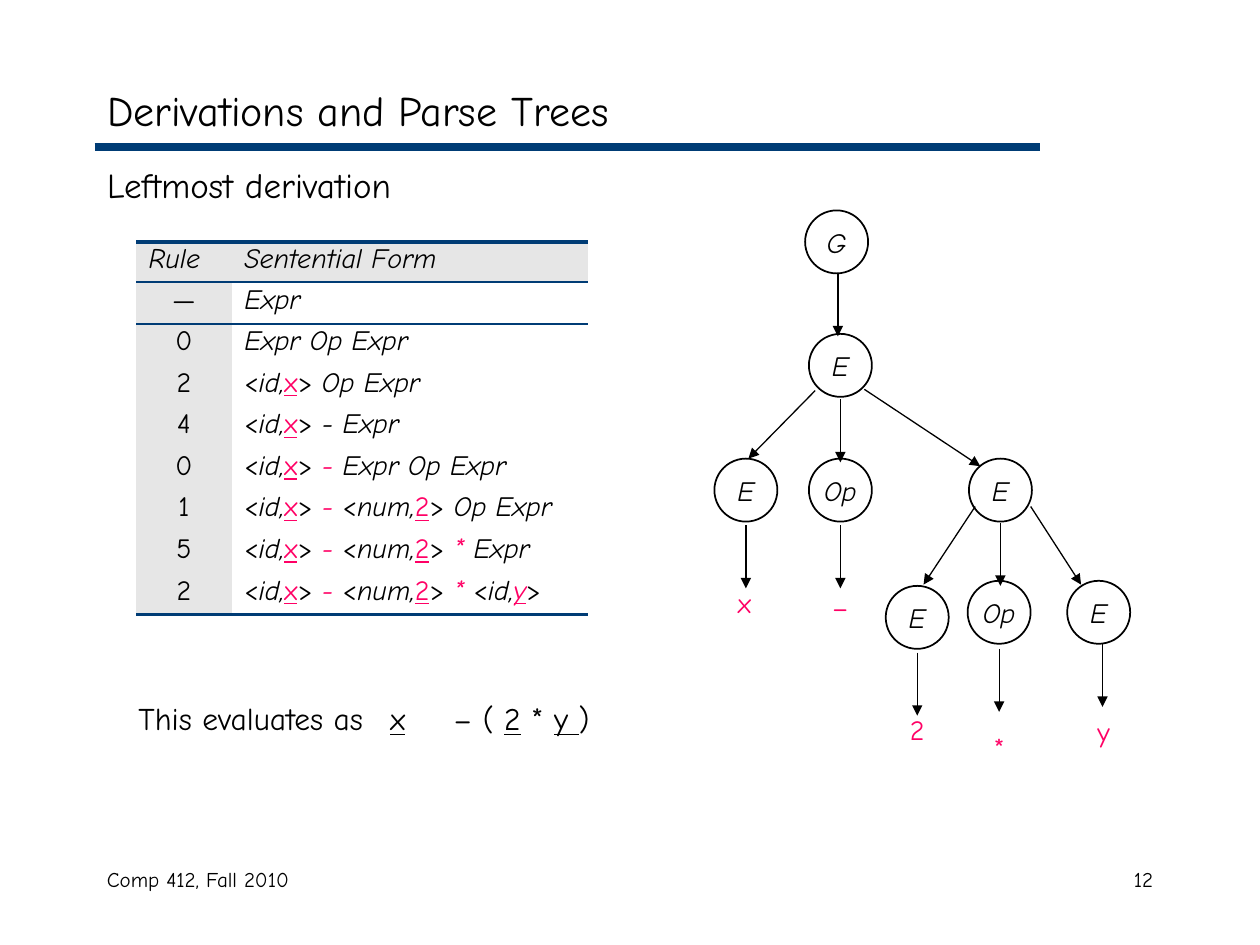
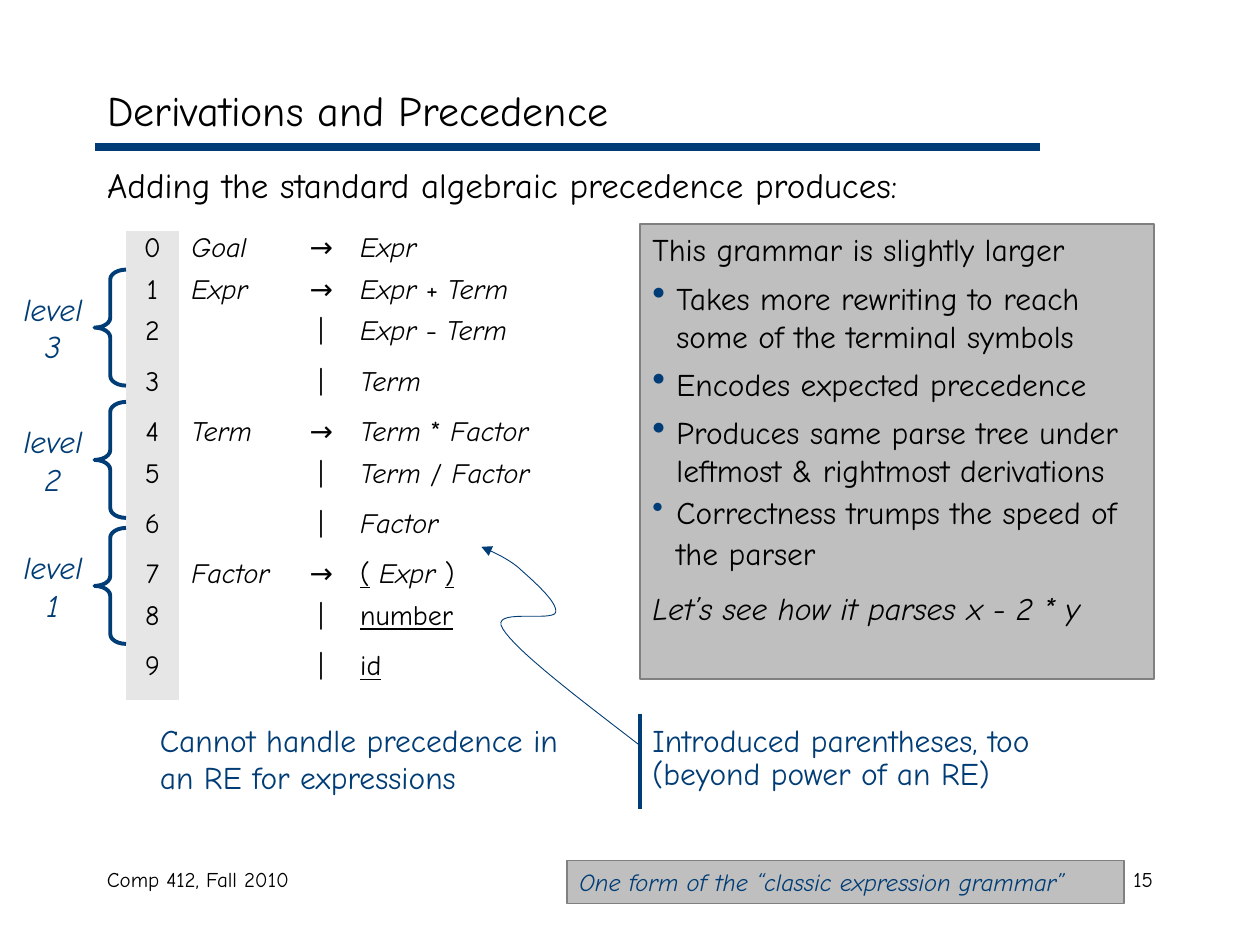
from dataclasses import dataclass
from typing import NamedTuple

from lxml import etree
from pptx import Presentation
from pptx import util as u
from pptx.dml.color import RGBColor
from pptx.enum import shapes, text
from pptx.oxml import ns

SCALE = 9144  # EMU per px, 100 px to the inch
FONT = "Comic Neue"
COLORS = {"black": "000000", "blue": "003C75", "pink": "FF0065",
          "pale": "E6E6E6", "gray": "BFBFBF", "edge": "808080"}
NO_STYLE = "{2D5ABB26-0587-4C30-8999-92F81FD0307C}"
LEFT, CENTER, RIGHT = text.PP_ALIGN.LEFT, text.PP_ALIGN.CENTER, text.PP_ALIGN.RIGHT


class Run(NamedTuple):
    text: str
    italic: bool = False
    underline: bool = False
    color: str = ""


class Box(NamedTuple):
    left: int
    top: int
    width: int
    height: int


@dataclass
class Node:
    label: str
    left: int
    top: int


@dataclass
class Leaf:
    label: str
    center: int
    top: int


@dataclass
class Arrow:
    x1: int
    y1: int
    x2: int
    y2: int


@dataclass
class Level:
    number: int
    top: int


def px(length: float) -> int:
    return u.Emu(round(length * SCALE))


def place(box: Box) -> list[int]:
    return [px(length) for length in box]


def rgb(name: str) -> RGBColor:
    return RGBColor.from_string(COLORS[name])


def add_xml(parent, tag: str, **attributes):
    return etree.SubElement(parent, ns.qn(tag), attributes)


# Text
def write(paragraph, content, *, size=16, color="black", italic=False, align=LEFT,
          before=0, spacing=None, bullet_percent=0, tabs=()) -> None:
    """Format a paragraph and fill it with a string or a list of runs."""
    properties = paragraph._p.get_or_add_pPr()
    indent = px(19) if bullet_percent else 0
    properties.set("marL", str(indent))
    properties.set("indent", str(-indent))
    if bullet_percent:
        bullet_color = add_xml(properties, "a:buClr")
        add_xml(bullet_color, "a:srgbClr", val=COLORS["blue"])
        add_xml(properties, "a:buSzPct", val=str(bullet_percent * 1000))
        add_xml(properties, "a:buChar", char="•")
    else:
        add_xml(properties, "a:buNone")
    if tabs:
        tab_list = add_xml(properties, "a:tabLst")
        for position in tabs:
            add_xml(tab_list, "a:tab", pos=str(px(position)), algn="l")
    paragraph.alignment = align
    paragraph.space_before = u.Pt(before)
    if spacing:
        paragraph.line_spacing = spacing
    for part in [Run(content)] if isinstance(content, str) else content:
        run = paragraph.add_run()
        run.text = part.text
        run.font.name, run.font.size = FONT, u.Pt(size)
        run.font.italic, run.font.underline = italic or part.italic, part.underline
        run.font.color.rgb = rgb(part.color or color)


def write_lines(frame, lines, **common) -> None:
    """Write (content, format) pairs as the paragraphs of a frame."""
    for index, (content, own) in enumerate(lines):
        paragraph = frame.add_paragraph() if index else frame.paragraphs[0]
        write(paragraph, content, **(common | own))


def add_text(slide, box: Box, *lines, **common) -> None:
    frame = slide.shapes.add_textbox(*place(box)).text_frame
    frame.word_wrap = True
    write_lines(frame, lines, **common)


# Shapes and lines
def add_shape(slide, kind, box: Box, line: str, width: float, fill: str = ""):
    shape = slide.shapes.add_shape(kind, *place(box))
    shape.shadow.inherit = False
    if fill:
        shape.fill.solid()
        shape.fill.fore_color.rgb = rgb(fill)
    else:
        shape.fill.background()
    shape.line.color.rgb = rgb(line)
    shape.line.width = u.Pt(width)
    return shape


def add_panel(slide, box: Box, width: float, *lines, **common) -> None:
    panel = add_shape(slide, shapes.MSO_SHAPE.RECTANGLE, box, "edge", width, "gray")
    panel.text_frame.word_wrap = True
    panel.text_frame.vertical_anchor = text.MSO_ANCHOR.TOP
    write_lines(panel.text_frame, lines, **common)


def add_arrowhead(shape) -> None:
    add_xml(shape.line._get_or_add_ln(), "a:tailEnd", type="triangle")


def add_line(slide, path_ends: Arrow, color: str, width: float, head=False) -> None:
    ends = (path_ends.x1, path_ends.y1, path_ends.x2, path_ends.y2)
    connector = slide.shapes.add_connector(
        shapes.MSO_CONNECTOR.STRAIGHT, *[px(end) for end in ends])
    connector.line.color.rgb = rgb(color)
    connector.line.width = u.Pt(width)
    if head:
        add_arrowhead(connector)
    add_xml(connector._element.spPr, "a:effectLst")


def add_curve(slide, points: list[tuple[int, int]], steps: int = 16) -> None:
    """Draw joined cubic curves through every third point."""
    builder = slide.shapes.build_freeform(*[px(value) for value in points[0]])
    vertices = []
    for first in range(0, len(points) - 1, 3):
        controls = points[first:first + 4]
        for step in range(1, steps + 1):
            t = step / steps
            weights = ((1 - t) ** 3, 3 * t * (1 - t) ** 2, 3 * t * t * (1 - t), t ** 3)
            vertices.append(tuple(
                px(sum(weight * point[axis] for weight, point in zip(weights, controls)))
                for axis in (0, 1)))
    builder.add_line_segments(vertices, close=False)
    curve = builder.convert_to_shape()
    curve.shadow.inherit = False
    curve.fill.background()
    curve.line.color.rgb = rgb("blue")
    curve.line.width = u.Pt(0.5)
    add_arrowhead(curve)


# Tables
def add_table(slide, left: int, top: int, columns: list[int], heights: list[int], rows):
    box = Box(left, top, sum(columns), sum(heights))
    table = slide.shapes.add_table(len(rows), len(columns), *place(box)).table
    table.first_row = table.horz_banding = False
    table._tbl.tblPr.find(ns.qn("a:tableStyleId")).text = NO_STYLE
    for column, width in zip(table.columns, columns):
        column.width = px(width)
    for row, height, contents in zip(table.rows, heights, rows):
        row.height = px(height)
        for index, (cell, content) in enumerate(zip(row.cells, contents)):
            centered = content in ("→", "|") or (index == 0 and content != "Rule")
            write(cell.text_frame.paragraphs[0], content, spacing=0.8,
                  italic=content in ("Rule", "Sentential Form"),
                  align=CENTER if centered else LEFT)
    return table


def border(cell, side: str, width: float) -> None:
    line = add_xml(cell._tc.get_or_add_tcPr(), f"a:{side}", w=str(u.Pt(width)))
    add_xml(add_xml(line, "a:solidFill"), "a:srgbClr", val=COLORS["blue"])


def shade(cell, filled: bool) -> None:
    if filled:
        cell.fill.solid()
        cell.fill.fore_color.rgb = rgb("pale")
    else:
        cell.fill.background()


# Shared frame of the slides
def add_slide(presentation, title: str, subtitle: str, number: int):
    slide = presentation.slides.add_slide(presentation.slide_layouts[1])
    add_line(slide, Arrow(75, 117, 825, 117), "blue", 4.5)
    for shape, box, content, size, anchor in (
            (slide.shapes.title, Box(75, 58, 850, 58), title, 24, text.MSO_ANCHOR.MIDDLE),
            (slide.placeholders[1], Box(75, 125, 850, 542), subtitle, 20, text.MSO_ANCHOR.TOP)):
        shape.left, shape.top, shape.width, shape.height = place(box)
        shape.text_frame.auto_size = text.MSO_AUTO_SIZE.NONE
        shape.text_frame.vertical_anchor = anchor
        write(shape.text_frame.paragraphs[0], content, size=size)
    add_text(slide, Box(75, 683, 317, 50), ("Comp 412, Fall 2010", {}), size=12)
    add_text(slide, Box(717, 683, 208, 50), (str(number), {}), size=12, align=RIGHT)
    return slide


def token(kind: str, value: str, italic=False) -> list[Run]:
    return [Run("<"), Run(f"{kind},", True), Run(value, italic, True, "pink"), Run(">")]


def symbol(mark: str) -> list[Run]:
    return [Run(f" {mark} ", True, False, "pink")]


def symbols(words: str) -> list[Run]:
    return [Run(words, True)]


def build_parse_tree(presentation) -> None:
    slide = add_slide(presentation, "Derivations and Parse Trees", "Leftmost derivation", 12)

    # Derivation table
    start = token("id", "x")
    minus = start + symbol("-")
    product = minus + token("num", "2") + symbol("*")
    rows = [
        ("Rule", "Sentential Form"),
        ("—", symbols("Expr")),
        ("0", symbols("Expr Op Expr")),
        ("2", start + symbols(" Op Expr")),
        ("4", start + symbols(" - Expr")),
        ("0", minus + symbols("Expr Op Expr")),
        ("1", minus + token("num", "2") + symbols(" Op Expr")),
        ("5", product + symbols("Expr")),
        ("2", product + token("id", "y", True)),
    ]
    table = add_table(slide, 108, 192, [76, 283], [32] + [33] * 8, rows)
    edges = {0: (("lnT", 2.25), ("lnB", 1)), 1: (("lnT", 1),), 8: (("lnB", 2.25),)}
    for index, row in enumerate(table.rows):
        for column, cell in enumerate(row.cells):
            for side, width in edges.get(index, ()):
                border(cell, side, width)
            shade(cell, index == 0 or column == 0)

    # Parse tree
    for arrow in (Arrow(665, 217, 665, 267), Arrow(667, 317, 667, 367),
                  Arrow(686, 309, 778, 370), Arrow(647, 310, 594, 364),
                  Arrow(592, 417, 592, 467), Arrow(667, 417, 667, 467),
                  Arrow(774, 402, 733, 464), Arrow(794, 415, 794, 465),
                  Arrow(818, 402, 858, 464), Arrow(728, 518, 728, 568),
                  Arrow(793, 515, 793, 565), Arrow(875, 511, 875, 561)):
        add_line(slide, arrow, "black", 0.75, head=True)
    for node in (Node("G", 639, 167), Node("E", 642, 265), Node("E", 567, 364),
                 Node("Op", 642, 364), Node("E", 769, 364), Node("E", 703, 465),
                 Node("Op", 768, 461), Node("E", 847, 461)):
        circle = add_shape(slide, shapes.MSO_SHAPE.OVAL,
                           Box(node.left, node.top, 50, 50), "black", 1)
        circle.text_frame.word_wrap = False
        write(circle.text_frame.paragraphs[0], node.label, italic=True, align=CENTER)
    for leaf in (Leaf("x", 591, 460), Leaf("–", 667, 463), Leaf("2", 728, 561),
                 Leaf("*", 793, 575), Leaf("y", 876, 562)):
        add_text(slide, Box(leaf.center - 25, leaf.top, 50, 37), (leaf.label, {}),
                 color="pink", align=CENTER)

    # Result
    result = [Run("This evaluates as\t"), Run("x", underline=True), Run("\t– ( "),
              Run("2", underline=True), Run(" * "), Run("y ", underline=True), Run(")")]
    add_text(slide, Box(100, 550, 383, 40), (result, {"tabs": (203, 233)}), size=18)


def build_precedence(presentation) -> None:
    slide = add_slide(presentation, "Derivations and Precedence",
                      "Adding the standard algebraic precedence produces:", 15)

    # Grammar table
    def binary(left: str, operator: str, right: str) -> list[Run]:
        return symbols(left) + [Run(f" {operator} ")] + symbols(right)

    rules = [
        ("Goal", symbols("Expr")),
        ("Expr", binary("Expr", "+", "Term")),
        ("", binary("Expr", "-", "Term")),
        ("", symbols("Term")),
        ("Term", binary("Term", "*", "Factor")),
        ("", binary("Term", "/", "Factor")),
        ("", symbols("Factor")),
        ("Factor", [Run("(", underline=True), Run(" "), Run("Expr ", True),
                    Run(")", underline=True)]),
        ("", [Run("number", underline=True)]),
        ("", [Run("id", underline=True)]),
    ]
    rows = [(str(index), symbols(name) if name else [], "→" if name else "|", form)
            for index, (name, form) in enumerate(rules)]
    heights = [33 if name else 36 for name, _ in rules]
    table = add_table(slide, 100, 183, [42, 92, 42, 183], heights, rows)
    for row in table.rows:
        for column, cell in enumerate(row.cells):
            shade(cell, column == 0)

    # Precedence levels
    for level in (Level(3, 214), Level(2, 319), Level(1, 419)):
        brace = add_shape(slide, shapes.MSO_SHAPE.LEFT_BRACE,
                          Box(75, level.top, 25, 92), "blue", 2.25)
        brace.adjustments[0] = 0.31
        add_text(slide, Box(2, level.top + 11, 80, 70), ("level", {}), (str(level.number), {}),
                 size=18, color="blue", italic=True, align=CENTER)

    # Remarks
    point = {"bullet_percent": 120, "before": 6}
    add_panel(slide, Box(508, 178, 408, 361), 1,
              ("This grammar is slightly larger", {}),
              ("Takes more rewriting to reach some of the terminal symbols", point),
              ("Encodes expected precedence", point),
              ("Produces same parse tree under leftmost & rightmost derivations", point),
              ("Correctness trumps the speed of the parser",
               {"bullet_percent": 100, "spacing": 1.1}),
              ("Let’s see how it parses\tx - 2 * y", {"italic": True, "before": 10, "tabs": (256,)}),
              size=18)
    add_text(slide, Box(117, 567, 342, 70),
             ("Cannot handle precedence in an RE for expressions", {}), size=18, color="blue")
    add_text(slide, Box(508, 567, 375, 68), ("Introduced parentheses, too", {}),
             ("(beyond power of an RE)", {"spacing": 0.9}), size=18, color="blue")
    add_line(slide, Arrow(508, 567, 508, 642), "blue", 2.25)
    add_curve(slide, [(507, 591), (459, 554), (410, 517), (399, 499), (388, 482),
                      (439, 494), (441, 486), (443, 478), (422, 460), (412, 451),
                      (402, 442), (382, 434), (382, 434)])
    add_panel(slide, Box(450, 683, 442, 34), 0.75,
              ("One form of the “classic expression grammar”", {}),
              size=14, color="blue", italic=True)


def main() -> None:
    presentation = Presentation()
    presentation.slide_width, presentation.slide_height = px(1000), px(750)
    build_parse_tree(presentation)
    build_precedence(presentation)
    presentation.save("out.pptx")


if __name__ == "__main__":
    main()
